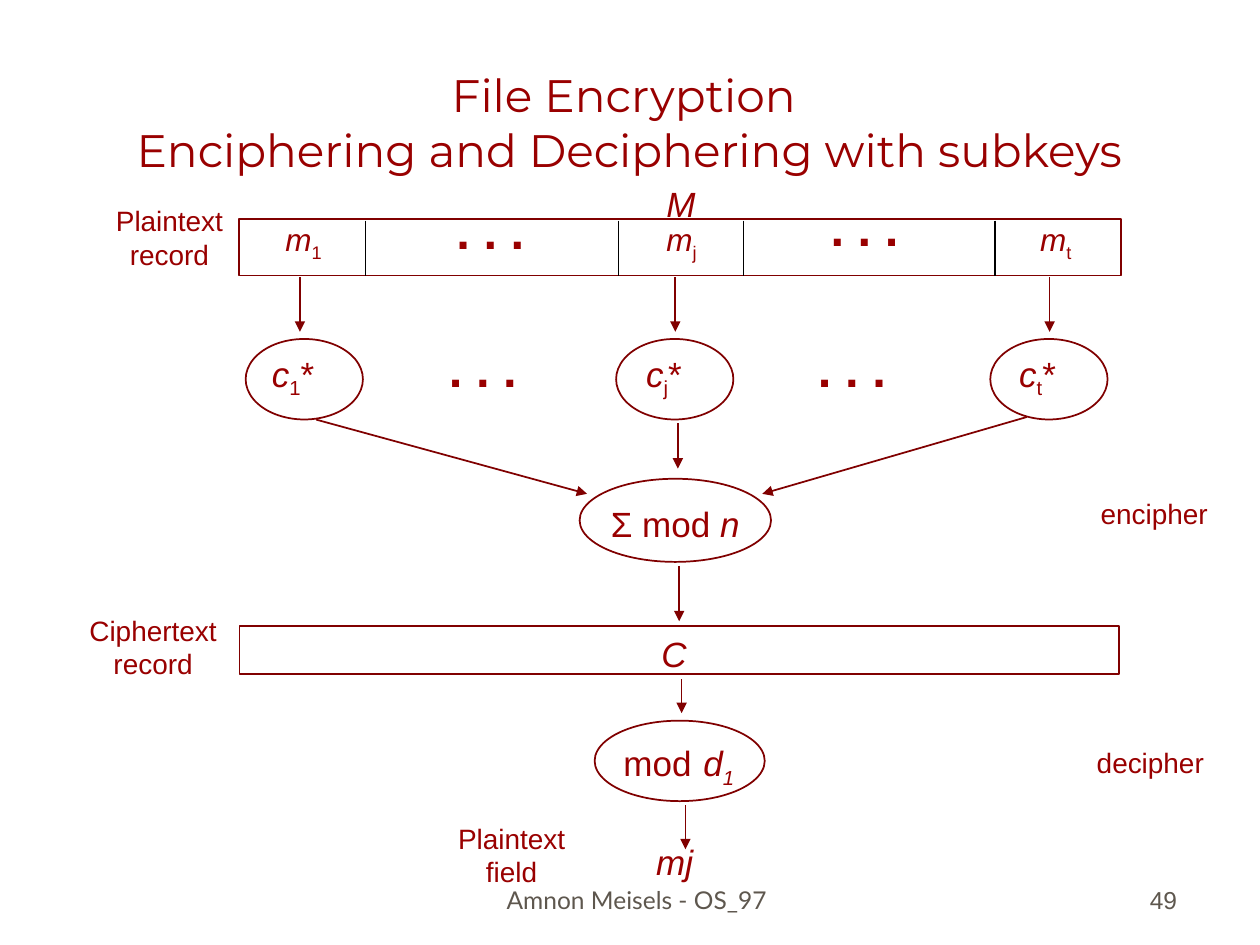
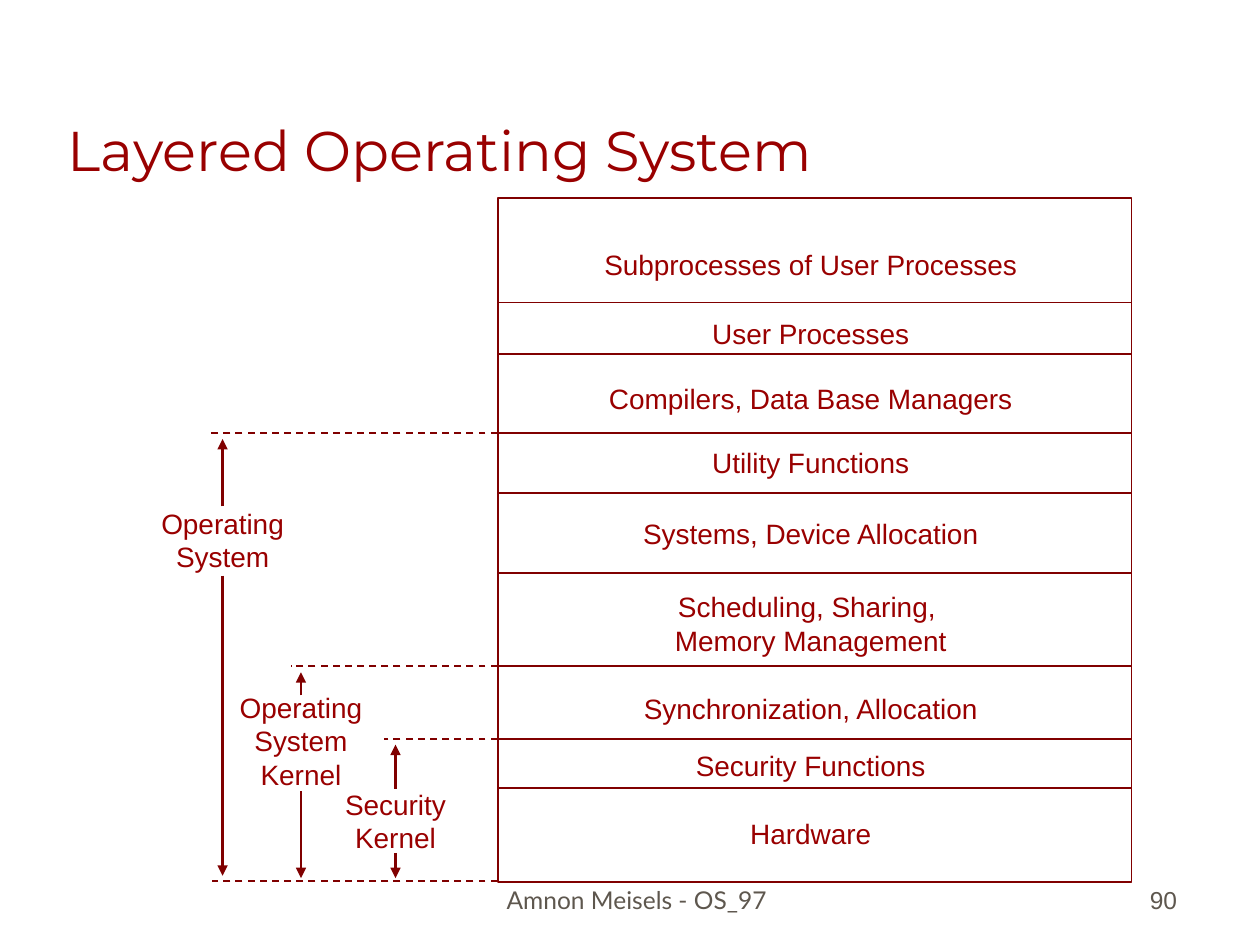
from copy import deepcopy

from pptx import Presentation
from pptx.dml.color import RGBColor
from pptx.enum.dml import MSO_LINE
from pptx.enum.shapes import MSO_CONNECTOR, MSO_SHAPE
from pptx.enum.text import MSO_ANCHOR, PP_ALIGN
from pptx.oxml.ns import qn
from pptx.util import Pt
from lxml.etree import SubElement

COLORS = {"text": "990000", "line": "800000", "divider": "000000", "footer": "5E574E"}
LEFT, CENTER, RIGHT = PP_ALIGN.LEFT, PP_ALIGN.CENTER, PP_ALIGN.RIGHT
TOP, BOTTOM = MSO_ANCHOR.TOP, MSO_ANCHOR.BOTTOM


def rgb(name):
    return RGBColor.from_string(COLORS[name])


class Deck:
    """Holds the shared style and the slide being built."""

    def __init__(self):
        self.presentation = Presentation()
        self.presentation.slide_width = Pt(720)
        self.presentation.slide_height = Pt(540)
        self.slide = None

    def new_slide(self, title, box, size, number, align=LEFT):
        layout = self.presentation.slide_layouts[6]
        self.slide = self.presentation.slides.add_slide(layout)
        self.text(title, box, size, align, font="Montserrat", anchor=BOTTOM)
        self.text("Amnon Meisels - OS_97", (246.2, 490.3, 235.4, 36), 14,
                  font="Lato", color="footer", anchor=BOTTOM)
        self.text(number, (529.9, 490.3, 149.8, 36), 14, RIGHT,
                  color="footer", anchor=BOTTOM)

    def paragraph(self, box, align, anchor=TOP):
        shape = self.slide.shapes.add_textbox(*map(Pt, box))
        frame = shape.text_frame
        frame.word_wrap = True
        frame.vertical_anchor = anchor
        paragraph = frame.paragraphs[0]
        paragraph.alignment = align
        return paragraph

    def style(self, run, size, font="Arial", color="text"):
        run.font.size = Pt(size)
        run.font.name = font
        run.font.color.rgb = rgb(color)

    def text(self, content, box, size=16, align=CENTER, font="Arial",
             color="text", anchor=TOP, bold=False):
        paragraph = self.paragraph(box, align, anchor)
        paragraph.text = content
        for run in paragraph.runs:
            self.style(run, size, font, color)
            run.font.bold = bold
        # Line breaks take the size of the text around them
        for line_break in paragraph._p.findall(qn("a:br")):
            line_break.append(deepcopy(paragraph.runs[0]._r.rPr))

    def formula(self, parts, box, size=20, align=LEFT):
        """Parts are (text, marks, optional size); marks: i italic, s subscript."""
        paragraph = self.paragraph(box, align)
        for content, marks, *own_size in parts:
            run = paragraph.add_run()
            run.text = content
            self.style(run, own_size[0] if own_size else size)
            run.font.italic = "i" in marks
            if "s" in marks:
                run._r.get_or_add_rPr().set("baseline", "-25000")

    def dots(self, left, top):
        self.text(". . .", (left, top, 101, 41), 28, bold=True)

    def outline(self, kind, box):
        shape = self.slide.shapes.add_shape(kind, *map(Pt, box))
        shape.shadow.inherit = False
        shape.fill.background()
        shape.line.color.rgb = rgb("line")
        shape.line.width = Pt(1)

    def line(self, start, end, color="line", width=1, arrow=False, dashed=False):
        connector = self.slide.shapes.add_connector(
            MSO_CONNECTOR.STRAIGHT, *map(Pt, start + end))
        connector.line.color.rgb = rgb(color)
        connector.line.width = Pt(width)
        if dashed:
            connector.line.dash_style = MSO_LINE.DASH
        if arrow:
            SubElement(connector.line._get_or_add_ln(), qn("a:tailEnd"), type="triangle")
        SubElement(connector._element.spPr, qn("a:effectLst"))


def file_encryption(deck):
    deck.new_slide("File Encryption \nEnciphering and Deciphering with subkeys",
                   (0, 14.4, 720, 90), 26, "49", CENTER)

    # Plaintext and ciphertext records
    deck.outline(MSO_SHAPE.RECTANGLE, (136.8, 125.3, 504, 32.2))
    deck.outline(MSO_SHAPE.RECTANGLE, (136.8, 357.8, 502.6, 27.4))
    for x in (208.8, 353.5, 424.8, 568.8):
        deck.line((x, 126), (x, 158), color="divider")
    deck.formula([("M", "i")], (373.7, 100.8, 51.8, 31.7))
    deck.formula([("C", "i")], (370.8, 357.8, 48.2, 31.7))

    # One column per field: field, arrow, encrypted field
    columns = [("1", 140.4, 148.3, 150.5, 171.4),
               ("j", 352.1, 362.2, 366.5, 385.9),
               ("t", 565.9, 575.3, 580.3, 599.8)]
    for index, circle_x, cipher_x, field_x, arrow_x in columns:
        deck.outline(MSO_SHAPE.OVAL, (circle_x, 193.7, 67, 46))
        deck.formula([("c", "i"), (index, "s"), ("*", "")], (cipher_x, 197.7, 48.2, 34.6))
        deck.formula([("m", "i"), (index, "s")], (field_x, 122.4, 46, 31.7), 18, CENTER)
        deck.line((arrow_x, 158.4), (arrow_x, 189.6), arrow=True)
    for left, top in ((229.7, 110.9), (443.5, 109.4), (225.4, 190), (436.3, 190)):
        deck.dots(left, top)

    # Sum, decipher step and recovered field
    deck.outline(MSO_SHAPE.OVAL, (331.2, 273.6, 109.4, 47.5))
    deck.formula([("Σ mod ", ""), ("n", "i")], (342, 283.7, 110.9, 31.7))
    deck.outline(MSO_SHAPE.OVAL, (339.8, 411.8, 97.2, 46))
    deck.formula([("mod", ""), (" ", "", 24), ("d", "i"), ("1", "is")],
                 (349.2, 416.2, 110.9, 38.9))
    deck.formula([("mj", "i")], (367.9, 476.6, 79.2, 31.7))

    # Flow arrows
    for start, end in [((180.7, 239.8), (335.5, 282.2)),
                       ((586.8, 238.3), (435.6, 282.2)),
                       ((387.4, 241.9), (387.4, 267.8)),
                       ((388.1, 323.3), (388.1, 355)),
                       ((389.5, 388.1), (389.5, 407.5)),
                       ((391.7, 460.1), (391.7, 485.3))]:
        deck.line(start, end, arrow=True)

    # Labels
    deck.text("Plaintext\nrecord", (46.1, 113, 101.5, 46))
    deck.text("Ciphertext\nrecord", (36.7, 347, 101.5, 46))
    deck.text("Plaintext\nfield", (247, 465.8, 90.7, 46))
    deck.text("encipher", (614.2, 280.1, 90.7, 26.6))
    deck.text("decipher", (612, 422.6, 90.7, 26.6))


def layered_system(deck):
    deck.new_slide("Layered Operating System", (31.7, 18, 612, 90), 32, "90")

    # Layers: label, label top, lower edge (the box closes the last one)
    left, right, bottom = 284.4, 647, 503.6
    deck.outline(MSO_SHAPE.RECTANGLE, (left, 113, 362.2, 391))
    layers = [("Subprocesses of User Processes", 138.2, 172.8),
              ("User Processes", 177.1, 202.3),
              ("Compilers, Data Base Managers", 214.6, 247.5),
              ("Utility Functions", 251.3, 281.7),
              ("Systems, Device Allocation", 291.6, 327.5),
              ("Scheduling, Sharing, \nMemory Management", 333.4, 380.8),
              ("Synchronization, Allocation", 391.7, 422.1),
              ("Security Functions", 424.1, 450.5),
              ("Hardware", 463, None)]
    for label, top, edge in layers:
        deck.text(label, (314.6, top, 297.4, 46 if "\n" in label else 26.6))
        if edge:
            deck.line((left, edge), (right, edge))

    # Spans: label, axis, label top and height, dash start, top edge, arrow ends
    spans = [("Operating\nSystem", 127.2, 285.8, 46, 120.2, 247.5, 289.4, 329, 500.4),
             ("Operating\nSystem\nKernel", 172, 391, 64.8, 166.3, 380.8, 397.4, 452.2, 501.8),
             ("Security\nKernel", 226, 446.4, 46, 219.6, 422.1, 450.7, 487.4, 501.8)]
    for label, x, top, height, dash_x, edge, up_from, down_from, down_to in spans:
        deck.line((left, edge), (dash_x, edge), dashed=True)
        deck.text(label, (x - 52.2, top, 104.4, height))
        deck.line((x, up_from), (x, edge + 3.4), width=1.5, arrow=True)
        deck.line((x, down_from), (x, down_to), width=1.5, arrow=True)
    deck.line((left, bottom), (121, bottom), dashed=True)


def main():
    deck = Deck()
    file_encryption(deck)
    layered_system(deck)
    deck.presentation.save("out.pptx")


if __name__ == "__main__":
    main()
